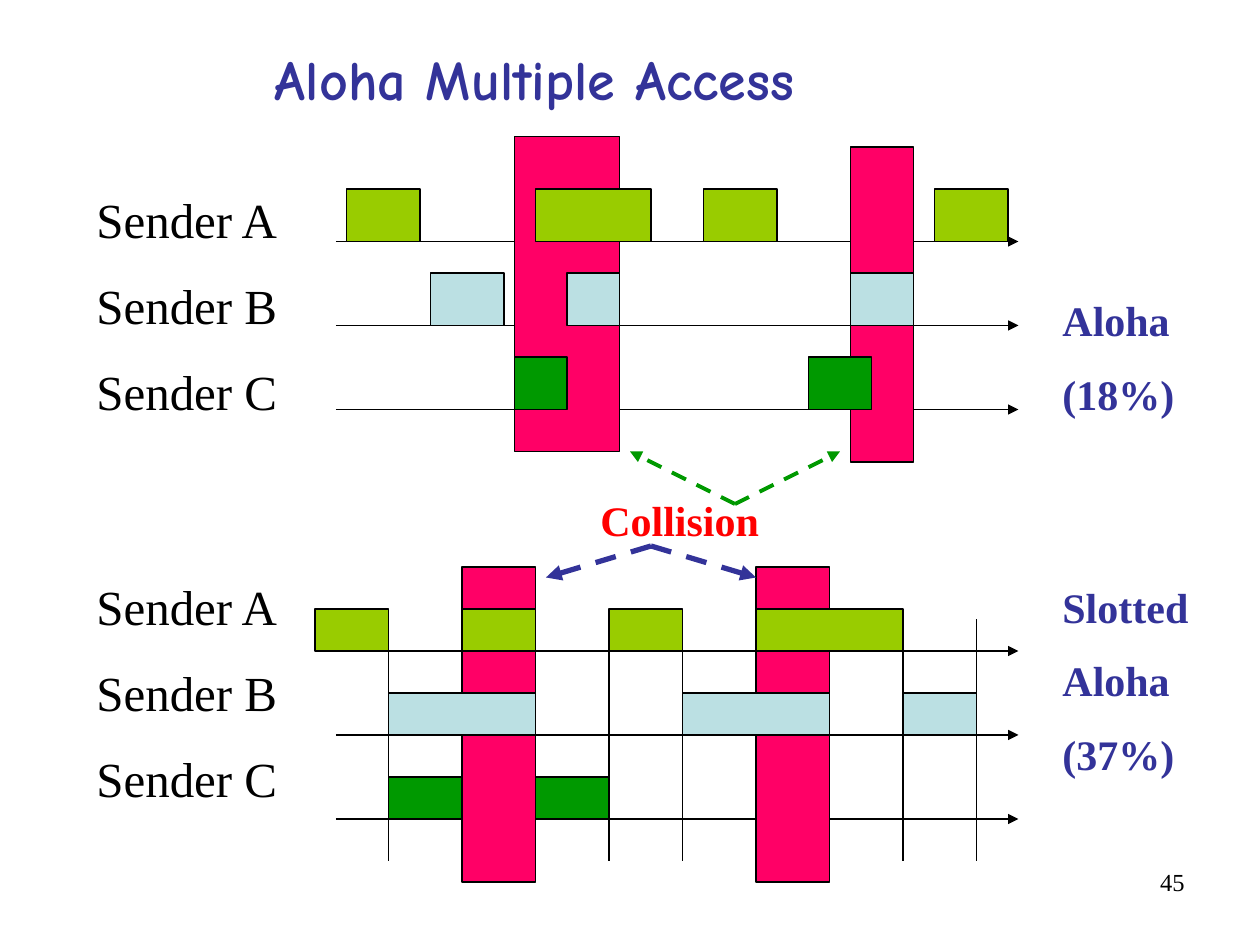
from typing import NamedTuple

from lxml.etree import SubElement
from pptx import Presentation
from pptx.dml.color import RGBColor
from pptx.enum.dml import MSO_LINE
from pptx.enum.shapes import MSO_CONNECTOR, MSO_SHAPE
from pptx.enum.text import PP_ALIGN
from pptx.oxml.ns import qn
from pptx.util import Pt

BLACK, NAVY, RED, PINK = "000000", "333399", "FF0000", "FF0066"
LIME, PALE_BLUE, GREEN = "99CC00", "BBE0E3", "009900"
SERIF = "Times New Roman"

AXIS_START, AXIS_END, ROW_STEP = 192, 582, 48
SLOT_START, SLOT_WIDTH = 180, 42


class Packet(NamedTuple):
    left: float
    width: float


class Collision(NamedTuple):
    left: float
    top: float
    width: float


class Sender(NamedTuple):
    color: str
    packets: list[Packet]


class Timeline(NamedTuple):
    first_axis: float
    packet_height: float
    collisions: list[Collision]
    senders: list[Sender]


class Pointer(NamedTuple):
    start: tuple[float, float]
    end: tuple[float, float]
    color: str
    width: float


def slot_left(slot: int) -> int:
    return SLOT_START + slot * SLOT_WIDTH


def slotted(slot: int, count: int = 1) -> Packet:
    """Packet that fills whole slots."""
    return Packet(slot_left(slot), count * SLOT_WIDTH)


ALOHA = Timeline(
    138, 30,
    [Collision(294, 78, 60), Collision(486, 84, 36)],
    [
        Sender(LIME, [Packet(198, 42), Packet(306, 66), Packet(402, 42), Packet(534, 42)]),
        Sender(PALE_BLUE, [Packet(246, 42), Packet(324, 30), Packet(486, 36)]),
        Sender(GREEN, [Packet(294, 30), Packet(462, 36)]),
    ],
)
SLOTTED_ALOHA = Timeline(
    372, 24,
    [Collision(slot_left(slot), 324, SLOT_WIDTH) for slot in (2, 6)],
    [
        Sender(LIME, [slotted(0), slotted(2), slotted(4), slotted(6, 2)]),
        Sender(PALE_BLUE, [slotted(1, 2), slotted(5, 2), slotted(8)]),
        Sender(GREEN, [slotted(1), slotted(3)]),
    ],
)
POINTERS = [
    Pointer((372, 312), (312, 330), NAVY, 3),
    Pointer((372, 312), (432, 330), NAVY, 3),
    Pointer((420, 288), (480, 258), GREEN, 2.25),
    Pointer((420, 288), (360, 258), GREEN, 2.25),
]


def rgb(color: str) -> RGBColor:
    return RGBColor.from_string(color)


def add_line(slide, start: tuple[float, float], end: tuple[float, float], *,
             color: str = BLACK, width: float = 0.75,
             arrow: bool = False, dashed: bool = False) -> None:
    points = [Pt(value) for value in (*start, *end)]
    line = slide.shapes.add_connector(MSO_CONNECTOR.STRAIGHT, *points)
    line.line.color.rgb = rgb(color)
    line.line.width = Pt(width)
    if dashed:
        line.line.dash_style = MSO_LINE.DASH
    if arrow:
        SubElement(line.line._get_or_add_ln(), qn("a:tailEnd"), type="triangle")
    SubElement(line._element.spPr, qn("a:effectLst"))


def add_block(slide, left: float, top: float, width: float, height: float, color: str) -> None:
    block = slide.shapes.add_shape(
        MSO_SHAPE.RECTANGLE, Pt(left), Pt(top), Pt(width), Pt(height))
    block.shadow.inherit = False
    block.fill.solid()
    block.fill.fore_color.rgb = rgb(color)
    block.line.color.rgb = rgb(BLACK)
    block.line.width = Pt(0.75)


def add_text(slide, lines: list[str], left: float, top: float, width: float, height: float, *,
             size: float, color: str = BLACK, bold: bool = False, font: str = SERIF,
             align: PP_ALIGN = PP_ALIGN.LEFT, gap: float = 0) -> None:
    """Text box with one paragraph per line and a gap between paragraphs."""
    box = slide.shapes.add_textbox(Pt(left), Pt(top), Pt(width), Pt(height))
    frame = box.text_frame
    frame.word_wrap = True
    for index, line in enumerate(lines):
        para = frame.add_paragraph() if index else frame.paragraphs[0]
        para.alignment = align
        para.space_before = Pt(gap if index else 0)
        span = para.add_run()
        span.text = line
        span.font.name = font
        span.font.size = Pt(size)
        span.font.bold = bold
        span.font.color.rgb = rgb(color)


def draw_axes(slide, timeline: Timeline) -> None:
    for row in range(len(timeline.senders)):
        axis = timeline.first_axis + row * ROW_STEP
        add_line(slide, (AXIS_START, axis), (AXIS_END, axis), arrow=True)


def draw_traffic(slide, timeline: Timeline) -> None:
    for collision in timeline.collisions:
        add_block(slide, collision.left, collision.top, collision.width, 180, PINK)
    for row, sender in enumerate(timeline.senders):
        top = timeline.first_axis + row * ROW_STEP - timeline.packet_height
        for packet in sender.packets:
            add_block(slide, packet.left, top, packet.width,
                      timeline.packet_height, sender.color)


def main() -> None:
    deck = Presentation()
    deck.slide_width, deck.slide_height = Pt(720), Pt(540)
    slide = deck.slides.add_slide(deck.slide_layouts[6])

    add_text(slide, ["45"], 516, 492, 168, 37.5, size=14, align=PP_ALIGN.RIGHT)
    for timeline in (ALOHA, SLOTTED_ALOHA):
        draw_axes(slide, timeline)
    for slot in range(1, 10):
        add_line(slide, (slot_left(slot), 354), (slot_left(slot), 492))
    for timeline in (ALOHA, SLOTTED_ALOHA):
        draw_traffic(slide, timeline)

    add_text(slide, ["Collision"], 336, 279, 114, 36, size=24, color=RED, bold=True)
    for pointer in POINTERS:
        add_line(slide, pointer.start, pointer.end, color=pointer.color,
                 width=pointer.width, arrow=True, dashed=True)

    sender_names = [f"Sender {letter}" for letter in "ABC"]
    for top in (105, 326):
        add_text(slide, sender_names, 48, top, 126, 135, size=28, gap=15.5)
    for lines, top, height in ((["Aloha", "(18%)"], 165, 76),
                               (["Slotted", "Aloha", "(37%)"], 328.5, 117)):
        add_text(slide, lines, 600, top, 96, height, size=24, color=NAVY, bold=True, gap=13.3)
    add_text(slide, ["Aloha Multiple Access"], 150, 22, 444, 45,
             size=32, color=NAVY, bold=True, font="Comic Neue")

    deck.save("out.pptx")


if __name__ == "__main__":
    main()
